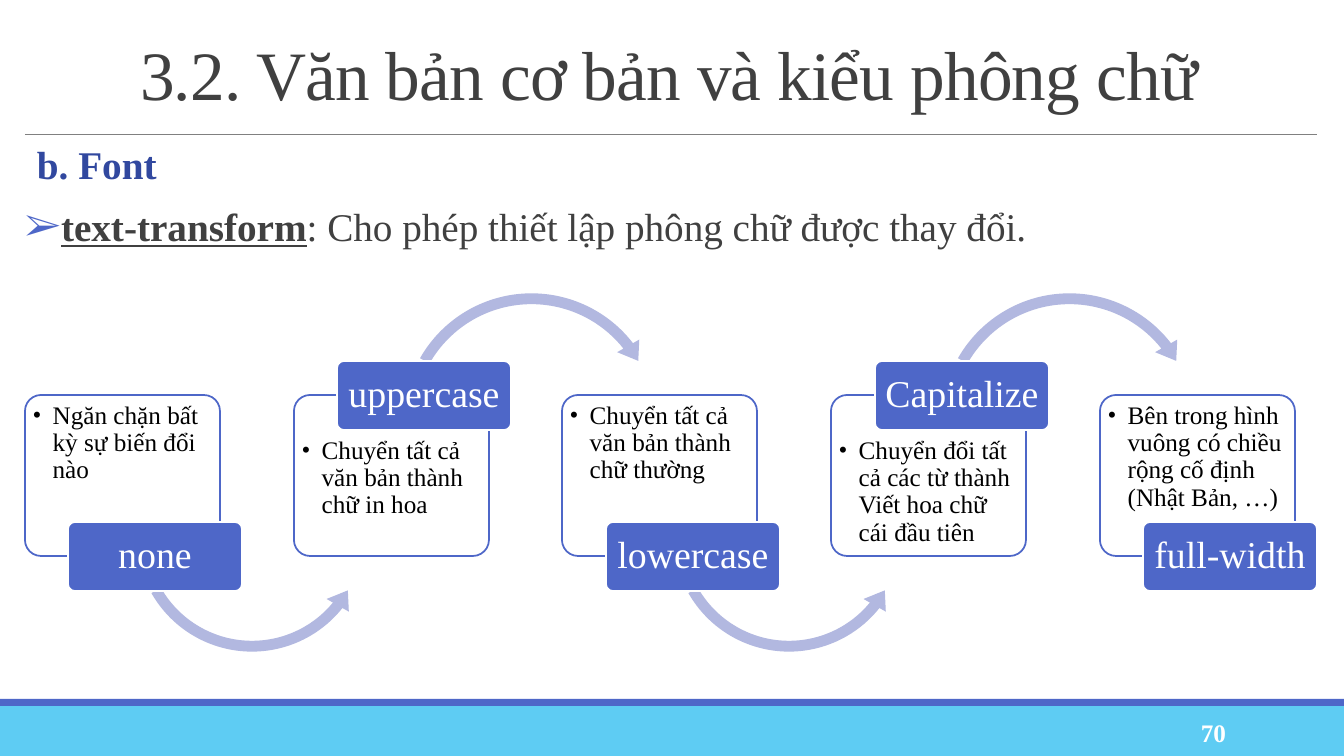
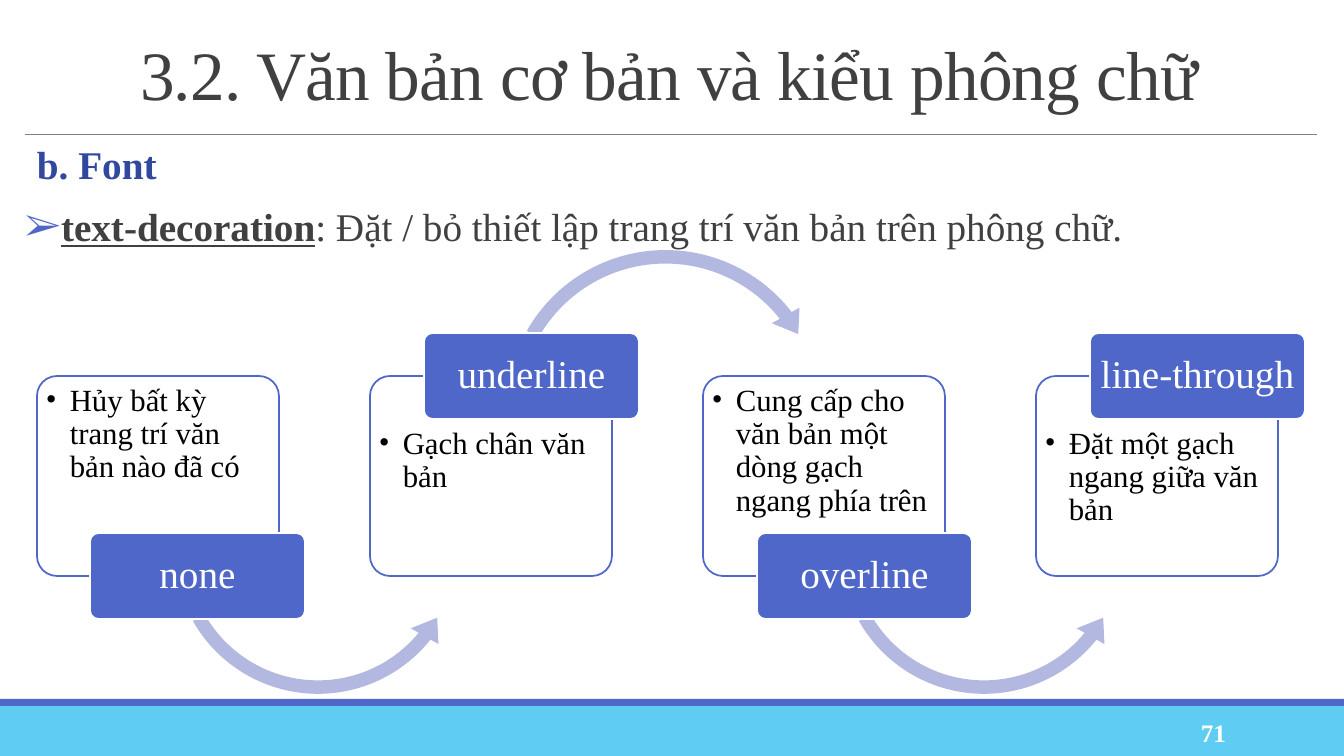
from dataclasses import dataclass

from lxml import etree
from pptx import Presentation
from pptx import util as u
from pptx.dml.color import RGBColor
from pptx.enum import shapes, text
from pptx.oxml import ns

SLIDE_W, SLIDE_H = 1344, 756
SCALE = 12192000 / SLIDE_W
SHAPE = shapes.MSO_SHAPE
ALIGN = text.PP_ALIGN
ANCHOR = text.MSO_ANCHOR


@dataclass(frozen=True)
class Theme:
    font: str = "Times New Roman"
    white: str = "FFFFFF"
    black: str = "000000"
    ink: str = "404040"
    rule: str = "808080"
    accent: str = "4E67C8"
    heading: str = "31489F"
    arrow: str = "B2B8E0"
    footer: str = "5ECCF3"
    title_size: float = 49.5
    body_size: int = 28
    number_size: int = 18
    outline: float = 1.25
    hairline: float = 0.5


THEME = Theme()

STEP, TAG_SHIFT, TAG_W = 1.376, 2 / 9, 8 / 9
PANEL_H, TAG_H, FLOW_H = 0.825, 0.354, 1.85
ARROWS = {
    False: (SHAPE.LEFT_CIRCULAR_ARROW, 0.53, 0.088, 1.262,
            (0.044, 5.623, 23.378, 90.245, 0.052)),
    True: (SHAPE.CIRCULAR_ARROW, 0.524, -0.559, 1.39,
           (0.04, 5.057, 193.188, 125.755, 0.047)),
}

TITLE = "3.2. Văn bản cơ bản và kiểu phông chữ"
SECTION = "b. Font"
LESSONS = [
    {
        "number": "70",
        "term": "text-transform",
        "meaning": ": Cho phép thiết lập phông chữ được thay đổi.",
        "sizes": (18, 27),
        "values": [
            ("none", "Ngăn chặn bất kỳ sự biến đổi nào"),
            ("uppercase", "Chuyển tất cả văn bản thành chữ in hoa"),
            ("lowercase", "Chuyển tất cả văn bản thành chữ thường"),
            ("Capitalize", "Chuyển đổi tất cả các từ thành Viết hoa chữ cái đầu tiên"),
            ("full-width", "Bên trong hình vuông có chiều rộng cố định (Nhật Bản, …)"),
        ],
    },
    {
        "number": "71",
        "term": "text-decoration",
        "meaning": ": Đặt / bỏ thiết lập trang trí văn bản trên phông chữ.",
        "sizes": (22, 28),
        "values": [
            ("none", "Hủy bất kỳ trang trí văn bản nào đã có"),
            ("underline", "Gạch chân văn bản"),
            ("overline", "Cung cấp cho văn bản một dòng gạch ngang phía trên"),
            ("line-through", "Đặt một gạch ngang giữa văn bản"),
        ],
    },
]


def px(length):
    return u.Emu(round(round(length) * SCALE))


def rgb(color):
    return RGBColor.from_string(color)


def place(box):
    return [px(length) for length in box]


def set_frame(frame, insets, anchor=ANCHOR.TOP):
    frame.word_wrap = True
    frame.vertical_anchor = anchor
    (frame.margin_left, frame.margin_top,
     frame.margin_right, frame.margin_bottom) = place(insets)
    return frame


def add_text_area(slide, box, insets=(10, 5, 10, 5), anchor=ANCHOR.TOP):
    return set_frame(slide.shapes.add_textbox(*place(box)).text_frame, insets, anchor)


def add_shape(slide, kind, box, fill, line=None):
    shape = slide.shapes.add_shape(kind, *place(box))
    shape.shadow.inherit = False
    shape.fill.solid()
    shape.fill.fore_color.rgb = rgb(fill)
    if line:
        shape.line.color.rgb = rgb(line)
        shape.line.width = u.Pt(THEME.outline)
    else:
        shape.line.fill.background()
    return shape


def add_run(paragraph, words, size, color, bold=False, underline=False):
    run = paragraph.add_run()
    run.text = words
    run.font.name = THEME.font
    run.font.size = u.Pt(size)
    run.font.color.rgb = rgb(color)
    run.font.bold = bold
    run.font.underline = underline
    return run


def set_bullet(paragraph, mark, color, indent):
    properties = paragraph._p.get_or_add_pPr()
    properties.set("marL", str(px(indent)))
    properties.set("indent", str(-px(indent)))
    tint = etree.SubElement(properties, ns.qn("a:buClr"))
    etree.SubElement(tint, ns.qn("a:srgbClr")).set("val", color)
    etree.SubElement(properties, ns.qn("a:buFont")).set("typeface", THEME.font)
    etree.SubElement(properties, ns.qn("a:buChar")).set("char", mark)


def add_footer(slide, box, number):
    left, top, width, height = box
    add_shape(slide, SHAPE.RECTANGLE, box, THEME.footer)
    add_shape(slide, SHAPE.RECTANGLE, (left, top - 7, width, 7), THEME.accent)
    frame = add_text_area(slide, (left + 1092, top + 6, 144, 40), anchor=ANCHOR.MIDDLE)
    paragraph = frame.paragraphs[0]
    paragraph.alignment = ALIGN.RIGHT
    add_run(paragraph, number, THEME.number_size, THEME.white, bold=True)


def add_title(slide, box):
    left, top, width, height = box
    frame = add_text_area(slide, (left + 105, top, width - 105, height - 6),
                          anchor=ANCHOR.MIDDLE)
    paragraph = frame.paragraphs[0]
    paragraph.line_spacing = 0.85
    run = add_run(paragraph, TITLE, THEME.title_size, THEME.ink)
    run.font._element.set("spc", "-50")
    rule = slide.shapes.add_connector(
        shapes.MSO_CONNECTOR.STRAIGHT,
        *place((left, top + height, left + width, top + height)))
    rule.line.color.rgb = rgb(THEME.rule)
    rule.line.width = u.Pt(THEME.hairline)
    etree.SubElement(rule._element.spPr, ns.qn("a:effectLst"))


def add_definition(slide, box, term, meaning):
    frame = add_text_area(slide, box, insets=(0, 5, 0, 5))
    section = frame.paragraphs[0]
    section._p.get_or_add_pPr().set("marL", str(px(12)))
    definition = frame.add_paragraph()
    set_bullet(definition, "➢", THEME.accent, 33)
    definition.space_before = u.Pt(12)
    for paragraph in (section, definition):
        paragraph.alignment = ALIGN.JUSTIFY
        paragraph.line_spacing = 0.9
        paragraph.space_after = u.Pt(2)
    add_run(section, SECTION, THEME.body_size, THEME.heading, bold=True)
    add_run(definition, term, THEME.body_size, THEME.ink, bold=True, underline=True)
    add_run(definition, meaning, THEME.body_size, THEME.ink)


def add_panel(slide, box, words, size, top_inset):
    panel = add_shape(slide, SHAPE.ROUNDED_RECTANGLE, box, THEME.white, THEME.accent)
    panel.adjustments[0] = 0.1
    color = panel.fill._xPr.find(".//" + ns.qn("a:srgbClr"))
    etree.SubElement(color, ns.qn("a:alpha")).set("val", "90000")
    frame = set_frame(panel.text_frame, (3, top_inset, 3, 3))
    paragraph = frame.paragraphs[0]
    set_bullet(paragraph, "•", THEME.black, box[2] / 10)
    paragraph.alignment = ALIGN.LEFT
    paragraph.line_spacing = 0.9
    add_run(paragraph, words, size, THEME.black)


def add_tag(slide, box, words, size):
    tag = add_shape(slide, SHAPE.ROUNDED_RECTANGLE, box, THEME.accent, THEME.white)
    tag.adjustments[0] = 0.1
    frame = set_frame(tag.text_frame, (6, 4, 6, 4), ANCHOR.MIDDLE)
    paragraph = frame.paragraphs[0]
    paragraph.alignment = ALIGN.CENTER
    paragraph.line_spacing = 0.9
    add_run(paragraph, words, size, THEME.white)


def add_arrow(slide, left, top, unit, raised):
    kind, shift_x, shift_y, size, adjustments = ARROWS[raised]
    box = (left + shift_x * unit, top + shift_y * unit, size * unit, size * unit)
    arrow = add_shape(slide, kind, box, THEME.arrow)
    for index, value in enumerate(adjustments):
        arrow.adjustments[index] = value


def add_value_flow(slide, box, values, sizes):
    box_left, box_top, box_w, box_h = box
    span = STEP * (len(values) - 1) + TAG_SHIFT + TAG_W
    unit = min(box_w / span, box_h / FLOW_H)
    panel_h, tag_h = PANEL_H * unit, TAG_H * unit
    first_left = box_left + (box_w - span * unit) / 2
    top = box_top + (box_h - panel_h) / 2
    panel_size, tag_size = sizes
    for index, (value, effect) in enumerate(values):
        raised = index % 2 == 1
        left = first_left + index * STEP * unit
        add_panel(slide, (left, top, unit, panel_h), effect, panel_size,
                  3 + raised * tag_h / 2)
        if index < len(values) - 1:
            add_arrow(slide, left, top, unit, raised)
        edge = top if raised else top + panel_h
        add_tag(slide, (left + TAG_SHIFT * unit, edge - tag_h / 2, TAG_W * unit, tag_h),
                value, tag_size)


def add_lesson(deck, lesson):
    slide = deck.slides.add_slide(deck.slide_layouts[6])
    add_footer(slide, (0, 706, SLIDE_W, 50), lesson["number"])
    add_title(slide, (25, 31, 1292, 103))
    add_definition(slide, (25, 141, 1292, 538), lesson["term"], lesson["meaning"])
    add_value_flow(slide, (25, 252, 1292, 448), lesson["values"], lesson["sizes"])


def main():
    deck = Presentation()
    deck.slide_width, deck.slide_height = px(SLIDE_W), px(SLIDE_H)
    for lesson in LESSONS:
        add_lesson(deck, lesson)
    deck.save("out.pptx")


if __name__ == "__main__":
    main()
